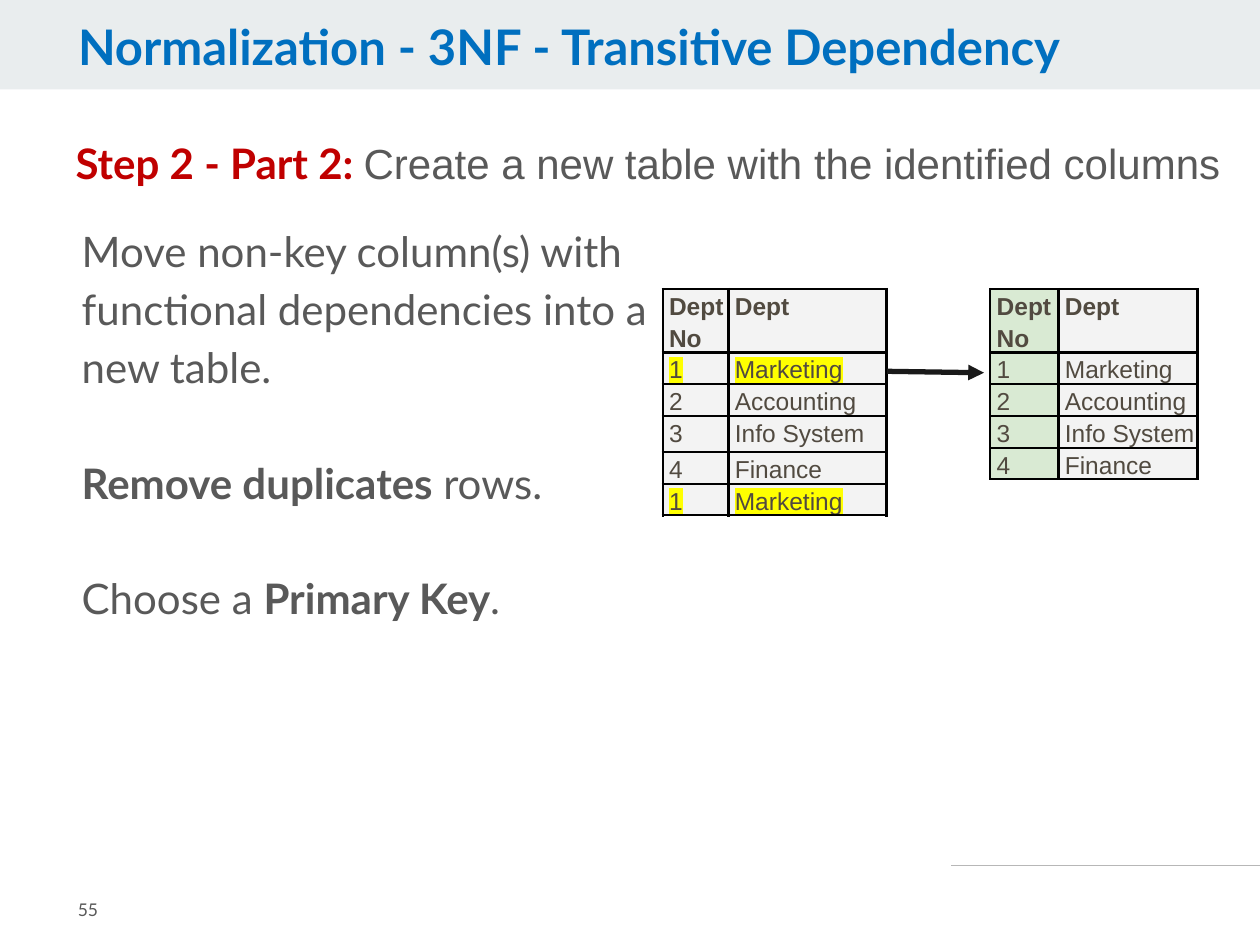
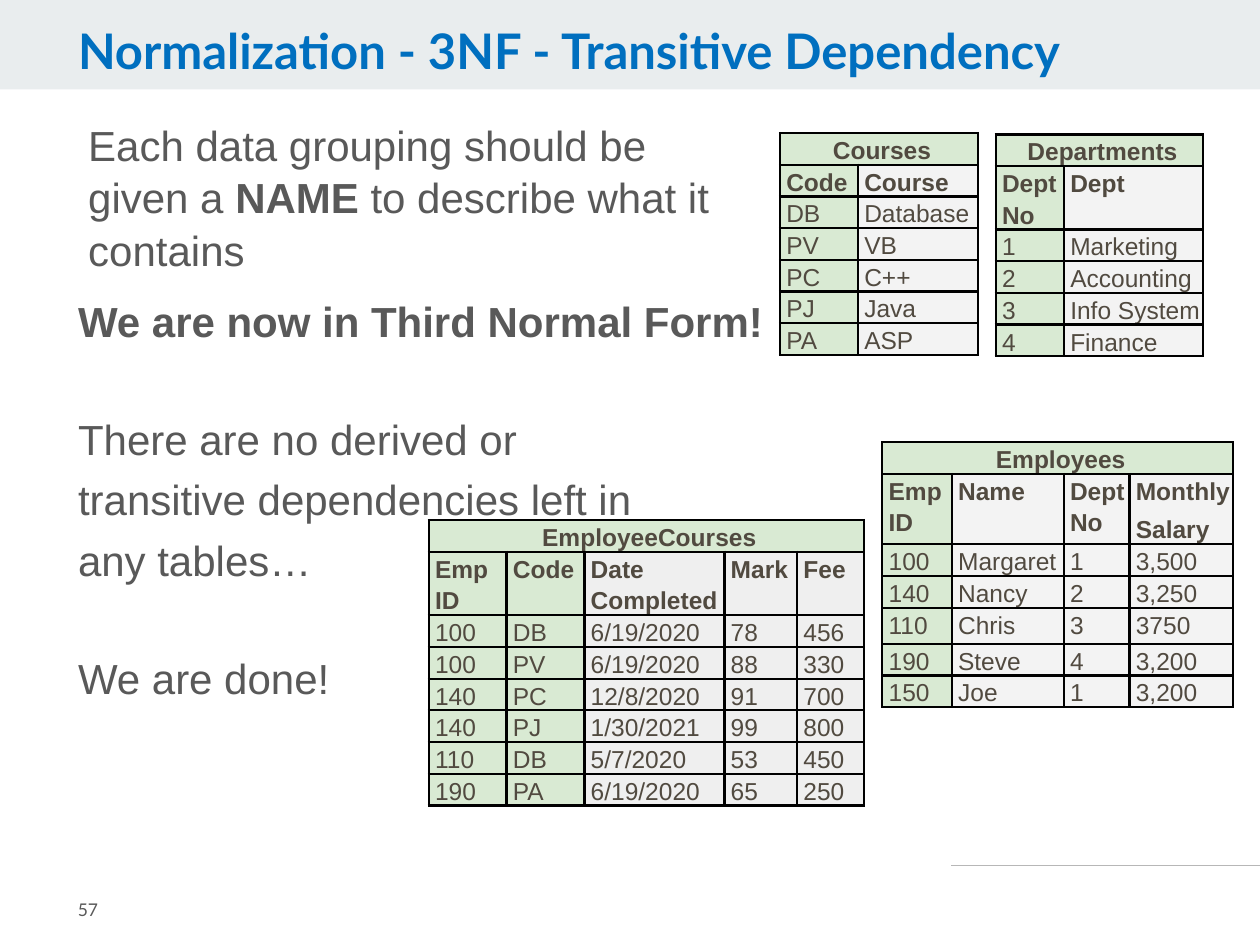
from copy import deepcopy

from lxml import etree
from pptx import Presentation
from pptx.dml.color import RGBColor
from pptx.enum.shapes import MSO_CONNECTOR as CONN, MSO_SHAPE as SHAPE
from pptx.enum.text import MSO_ANCHOR as ANCHOR, MSO_AUTO_SIZE as AUTO, PP_ALIGN as ALIGN
from pptx.oxml.ns import qn
from pptx.util import Pt

# Shared style
TITLE = "Normalization - 3NF - Transitive Dependency"
HEAD_FONT, TEXT_FONT = "Lato", "Arial"
BLUE, RED, GREY, BROWN = "006FBF", "C00000", "595959", "514A40"
BAND, RULE, BLACK, ARROW = "E9EDEE", "B7B7B7", "000000", "1A1A1A"
KEY_FILL, CELL_FILL, PALE_FILL, YELLOW = "D9EAD3", "F3F3F3", "EFEFEF", "FFFF00"
ROW_H = 18.14
GAP = 33  # one empty line of body text

# Table contents
DEPT_HEAD = ["Dept No", "Dept"]
DEPTS = [["1", "Marketing"], ["2", "Accounting"], ["3", "Info System"], ["4", "Finance"]]
COURSES = [["Code", "Course"], ["DB", "Database"], ["PV", "VB"], ["PC", "C++"],
           ["PJ", "Java"], ["PA", "ASP"]]
EMPLOYEES = [["Emp ID", "Name", "Dept No", "Monthly\nSalary"],
             ["100", "Margaret", "1", "3,500"], ["140", "Nancy", "2", "3,250"],
             ["110", "Chris", "3", "3750"], ["190", "Steve", "4", "3,200"],
             ["150", "Joe", "1", "3,200"]]
EMPLOYEE_COURSES = [["Emp ID", "Code", "Date Completed", "Mark", "Fee"],
                    ["100", "DB", "6/19/2020", "78", "456"],
                    ["100", "PV", "6/19/2020", "88", "330"],
                    ["140", "PC", "12/8/2020", "91", "700"],
                    ["140", "PJ", "1/30/2021", "99", "800"],
                    ["110", "DB", "5/7/2020", "53", "450"],
                    ["190", "PA", "6/19/2020", "65", "250"]]


def rgb(color):
    return RGBColor.from_string(color)


def sub(parent, tag, **attrs):
    return etree.SubElement(parent, qn(tag), attrs)


def add_run(p, text, size, font, color, bold, highlight):
    r = p.add_run()
    r.text = text
    r.font.size, r.font.name, r.font.bold = Pt(size), font, bold
    r.font.color.rgb = rgb(color)
    if highlight:
        mark = etree.Element(qn("a:highlight"))
        sub(mark, "a:srgbClr", val=highlight)
        r.font._element.find(qn("a:solidFill")).addnext(mark)
    return r


def write(tf, text, size=24, font=TEXT_FONT, color=GREY, bold=False, accent=None,
          accent_font=None, highlight=None, align=ALIGN.LEFT, spacing=1.15,
          before=0, indent=0):
    """Add a paragraph; *starred* parts are bold and \\n is a line break."""
    p = tf.paragraphs[0]
    if p.runs:
        p = tf.add_paragraph()
    pPr = p._p.get_or_add_pPr()
    pPr.set("marL", str(Pt(indent)))
    pPr.set("indent", "0")
    sub(pPr, "a:buNone")
    p.alignment, p.line_spacing = align, spacing
    p.space_before, p.space_after = Pt(before), Pt(0)
    for i, part in enumerate(text.split("*")):
        strong = i % 2 == 1
        for j, line in enumerate(part.split("\n")):
            if j:
                p.add_line_break()
                p._p[-1].append(deepcopy(r.font._element))
            if line:
                r = add_run(p, line, size, accent_font if strong and accent_font else font,
                            accent if strong and accent else color,
                            bold or strong, highlight)


def frame(sp, x, y, w, h, inset_y=3.6, anchor=ANCHOR.TOP):
    sp.left, sp.top, sp.width, sp.height = Pt(x), Pt(y), Pt(w), Pt(h)
    tf = sp.text_frame
    tf.word_wrap, tf.auto_size, tf.vertical_anchor = True, AUTO.NONE, anchor
    tf.margin_left = tf.margin_right = Pt(7.2)
    tf.margin_top = tf.margin_bottom = Pt(inset_y)
    return tf


def add_text_box(s, x, y, w, h, anchor=ANCHOR.TOP):
    return frame(s.shapes.add_textbox(0, 0, 0, 0), x, y, w, h, 7.2, anchor)


def add_line(s, x1, y1, x2, y2, color, width, arrow=False):
    cxn = s.shapes.add_connector(CONN.STRAIGHT, Pt(x1), Pt(y1), Pt(x2), Pt(y2))
    cxn.line.color.rgb, cxn.line.width = rgb(color), Pt(width)
    if arrow:
        sub(cxn.line._get_or_add_ln(), "a:tailEnd", type="triangle")
    sub(cxn._element.spPr, "a:effectLst")
    return cxn


def decorate_layout(layout, s):
    """Draw the title band and footer rule, then move them behind the layout."""
    band = s.shapes.add_shape(SHAPE.RECTANGLE, 0, 0, Pt(720), Pt(51.1))
    band.shadow.inherit = False
    band.fill.solid()
    band.fill.fore_color.rgb = rgb(BAND)
    band.line.fill.background()
    rule = add_line(s, 543.6, 494.6, 720, 494.6, RULE, 0.75)
    for sp in (band, rule):
        layout.shapes.element.insert(2, sp._element)


def start_slide(prs, layout, number, title_y):
    s = prs.slides.add_slide(layout)
    tf = frame(s.shapes.title, 37.4, title_y, 635, 39.6, anchor=ANCHOR.MIDDLE)
    write(tf, TITLE, size=28, font=HEAD_FONT, color=BLUE, bold=True, spacing=0.9)
    tf = add_text_box(s, 37.4, 499, 88.6, 41, ANCHOR.MIDDLE)
    write(tf, number, size=10, font=HEAD_FONT, spacing=1)
    return s


def style_cell(cell, fill):
    cell.margin_left = Pt(3.6)
    cell.margin_right = cell.margin_top = cell.margin_bottom = 0
    cell.fill.solid()
    cell.fill.fore_color.rgb = rgb(fill)
    tcPr = cell._tc.get_or_add_tcPr()
    for i, side in enumerate("LRTB"):
        ln = etree.Element(qn(f"a:ln{side}"), w=str(Pt(1.5)))
        sub(sub(ln, "a:solidFill"), "a:srgbClr", val=BLACK)
        tcPr.insert(i, ln)


def add_data_table(s, x, y, widths, rows, name=None, keys=1, fill=CELL_FILL,
                   head_h=2 * ROW_H, tall_row=None, marked=()):
    """Table with an optional name row, a bold header row and green key columns."""
    head = 1 if name else 0
    if name:
        rows = [[name] + [""] * (len(widths) - 1)] + rows
    heights = [ROW_H] * len(rows)
    heights[head] = head_h
    if tall_row:
        heights[tall_row] = 20.6
    tbl = s.shapes.add_table(len(rows), len(widths), Pt(x), Pt(y),
                             Pt(sum(widths)), Pt(sum(heights))).table
    tbl.first_row = tbl.horz_banding = False
    for col, w in zip(tbl.columns, widths):
        col.width = Pt(w)
    for row, h in zip(tbl.rows, heights):
        row.height = Pt(h)
    for i, values in enumerate(rows):
        for j, value in enumerate(values):
            cell = tbl.cell(i, j)
            is_name = i < head
            style_cell(cell, KEY_FILL if is_name or j < keys else fill)
            for k, line in enumerate(value.split("\n") if value else []):
                write(cell.text_frame, line, size=14, color=BROWN, bold=i <= head,
                      align=ALIGN.CENTER if is_name else ALIGN.LEFT,
                      before=4 if k else 0, highlight=YELLOW if i in marked else None)
    if name:
        tbl.cell(0, 0).merge(tbl.cell(0, len(widths) - 1))
        tbl.cell(0, 0).vertical_anchor = ANCHOR.MIDDLE


def build_new_table_slide(prs, layout):
    s = start_slide(prs, layout, "55", 8.6)
    decorate_layout(layout, s)
    tf = frame(s.placeholders[1], 36, 70.6, 671, 41)
    write(tf, "*Step 2 - Part 2: *Create a new table with the identified columns",
          accent=RED, accent_font=HEAD_FONT)

    # Department rows before and after removing duplicates
    add_data_table(s, 378.7, 165.2, [37.6, 90.3], [DEPT_HEAD] + DEPTS + DEPTS[:1],
                   keys=0, tall_row=3, marked=(1, 5))
    add_data_table(s, 565.9, 165.2, [39, 79.4], [DEPT_HEAD] + DEPTS)
    add_line(s, 506.9, 212.2, 562.3, 213, ARROW, 3, arrow=True)

    # Instructions
    tf = add_text_box(s, 39.6, 117.4, 373.7, 278)
    write(tf, "Move non-key column(s) with functional dependencies into a new table.",
          font=HEAD_FONT)
    for text in ("*Remove duplicates* rows.", "Choose a *Primary Key*."):
        write(tf, text, font=HEAD_FONT, before=GAP)


def build_third_form_slide(prs, layout):
    s = start_slide(prs, layout, "57", 10.8)
    tf = frame(s.placeholders[1], 37.4, 63.4, 671, 359.3)
    write(tf, "Each data grouping should be\ngiven a *NAME* to describe what it\ncontains",
          spacing=1.04, indent=5.8)
    write(tf, "*We are now in Third Normal Form!*", spacing=1.2, before=6)
    write(tf, "There are no derived or\ntransitive dependencies left in\nany tables…",
          spacing=1.2, before=GAP)
    write(tf, "We are done!", spacing=1.2, before=GAP)

    # The four named tables
    add_data_table(s, 504.2, 252.7, [39.7, 64, 37.6, 59], EMPLOYEES, "Employees",
                   head_h=40.2, tall_row=4)
    add_data_table(s, 569, 76.8, [39, 79.4], [DEPT_HEAD] + DEPTS, "Departments")
    add_data_table(s, 245, 297.2, [44.5, 44.5, 80, 41.6, 38], EMPLOYEE_COURSES,
                   "EmployeeCourses", keys=2, fill=PALE_FILL)
    add_data_table(s, 445.7, 76, [44.6, 68.4], COURSES, "Courses", head_h=ROW_H)


def main():
    prs = Presentation()
    prs.slide_width, prs.slide_height = Pt(720), Pt(540)
    layout = prs.slide_layouts[1]
    build_new_table_slide(prs, layout)
    build_third_form_slide(prs, layout)
    prs.save("out.pptx")


if __name__ == "__main__":
    main()
